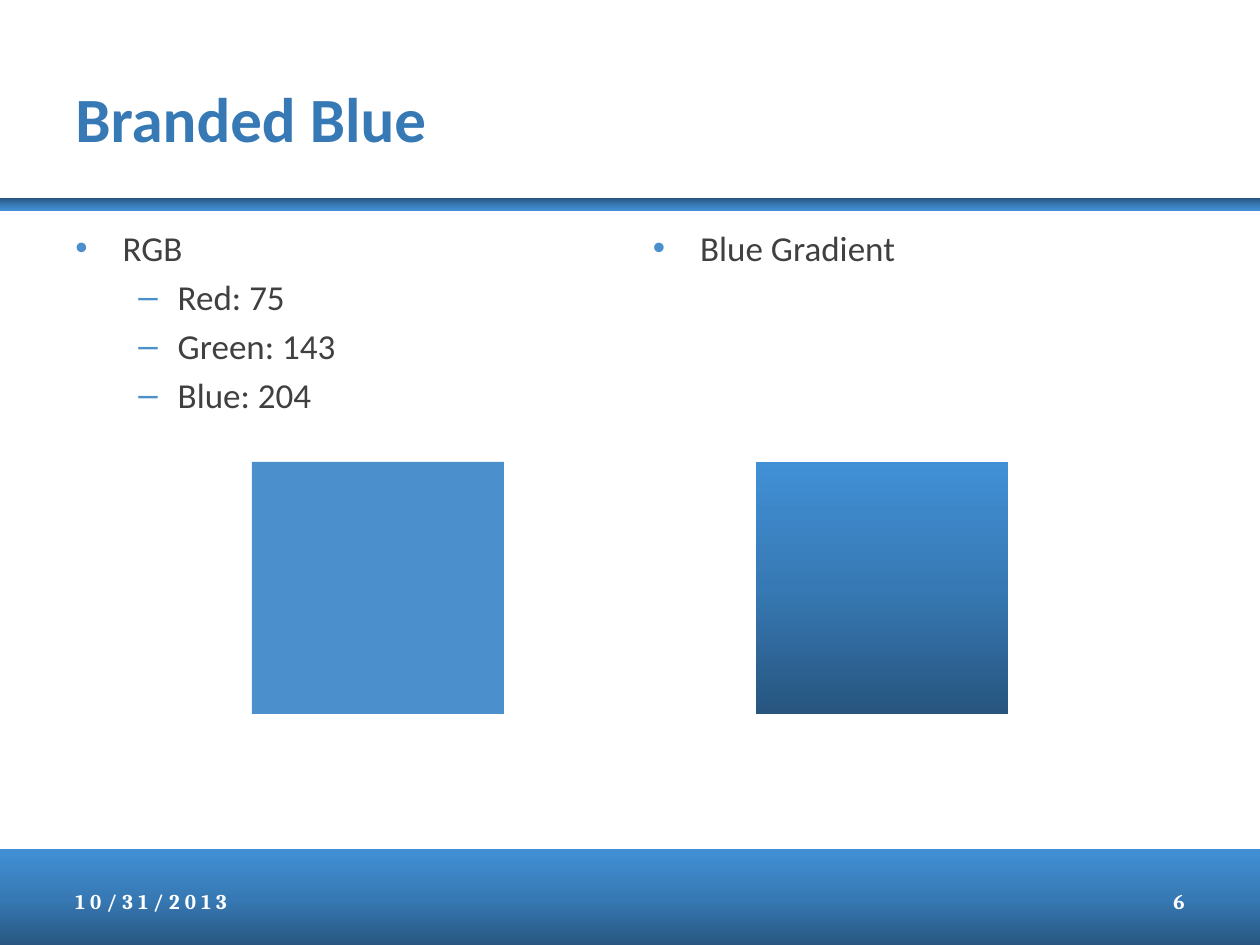
from copy import deepcopy
from dataclasses import dataclass

from lxml import etree
from pptx import Presentation
from pptx.dml.color import RGBColor
from pptx.enum.shapes import MSO_SHAPE
from pptx.enum.text import MSO_ANCHOR, PP_ALIGN
from pptx.oxml.ns import qn
from pptx.util import Pt

RECTANGLE = MSO_SHAPE.RECTANGLE
TOP, MIDDLE = MSO_ANCHOR.TOP, MSO_ANCHOR.MIDDLE
LEFT, RIGHT = PP_ALIGN.LEFT, PP_ALIGN.RIGHT


@dataclass(frozen=True)
class Theme:
    blue: str = "4B8FCC"
    gradient: tuple = ((0, "27557F"), (0.5, "3779B4"), (1, "4190D6"))
    body_color: str = "404040"
    footer_color: str = "FFFFFF"
    body_font: str = "Calibri"
    footer_font: str = "Cambria"
    title_size: int = 36
    body_size: int = 20
    footer_size: int = 12


THEME = Theme()

# Content: each body line is (level, text)
TITLE = "Branded Blue"
COLUMNS = [
    [(0, "RGB"), (1, "Red: 75"), (1, "Green: 143"), (1, "Blue: 204")],
    [(0, "Blue Gradient")],
]
FOOTERS = [("10/31/2013", LEFT), ("6", RIGHT)]
BULLETS = {0: ("•", 27, -27), 1: ("–", 58.5, -22.5)}  # mark, margin, indent

# Layout in points; gradient angles run counter-clockwise
WIDTH, HEIGHT, MARGIN = 720, 540, 36
RIGHT_EDGE = WIDTH - MARGIN
DARK_BELOW, DARK_ABOVE, DIAGONAL = 90, 270, 135
BANDS = [(485.25, 56.25, DARK_BELOW), (113.25, 7.25, DARK_ABOVE)]  # top, height, angle
COLUMN_WIDTH, FOOTER_WIDTH = 318, 168
SWATCH_SIZE, SWATCH_TOP = 144, 264
SWATCHES = [(432, DARK_BELOW), (144, None)]  # left, gradient angle


def apply_gradient(fill, element, angle):
    """Give a fill, held in the XML element, the three-stop blue gradient."""
    fill.gradient()
    fill.gradient_angle = angle
    stop_list = element.find(".//" + qn("a:gsLst"))
    stop_list.append(deepcopy(stop_list[-1]))
    for stop, (position, color) in zip(fill.gradient_stops, THEME.gradient):
        stop.position = position
        stop.color.rgb = RGBColor.from_string(color)


def add_rectangle(slide, left, top, width, height, angle=None):
    """Add a rectangle: plain blue, or a gradient when an angle is given."""
    shape = slide.shapes.add_shape(RECTANGLE, Pt(left), Pt(top), Pt(width), Pt(height))
    shape.shadow.inherit = False
    shape.line.fill.background()
    if angle is None:
        shape.fill.solid()
        shape.fill.fore_color.rgb = RGBColor.from_string(THEME.blue)
    else:
        apply_gradient(shape.fill, shape.element, angle)


def add_bullet(paragraph, level):
    mark, margin, indent = BULLETS[level]
    properties = paragraph._p.get_or_add_pPr()
    properties.set("marL", str(Pt(margin)))
    properties.set("indent", str(Pt(indent)))
    bullet_color = etree.SubElement(properties, qn("a:buClr"))
    etree.SubElement(bullet_color, qn("a:srgbClr"), val=THEME.blue)
    etree.SubElement(properties, qn("a:buFont"), typeface="Arial")
    etree.SubElement(properties, qn("a:buChar"), char=mark)


def add_text(slide, lines, left, top, width, height, *, size, font, color=None,
             gradient_angle=None, bold=False, tracking=0, align=LEFT,
             anchor=MIDDLE, bullets=False):
    box = slide.shapes.add_textbox(Pt(left), Pt(top), Pt(width), Pt(height))
    frame = box.text_frame
    frame.word_wrap = True
    frame.vertical_anchor = anchor
    for index, (level, text) in enumerate(lines):
        paragraph = frame.add_paragraph() if index else frame.paragraphs[0]
        paragraph.alignment = align
        paragraph.level = level
        if bullets:
            paragraph.space_before = Pt(size * 0.2)
            add_bullet(paragraph, level)
        run = paragraph.add_run()
        run.text = text
        run.font.size, run.font.name, run.font.bold = Pt(size), font, bold
        properties = run._r.get_or_add_rPr()
        if tracking:
            properties.set("spc", str(tracking * 100))
        if gradient_angle is None:
            run.font.color.rgb = RGBColor.from_string(color)
        else:
            apply_gradient(run.font.fill, properties, gradient_angle)


def main():
    presentation = Presentation()
    presentation.slide_width, presentation.slide_height = Pt(WIDTH), Pt(HEIGHT)
    slide = presentation.slides.add_slide(presentation.slide_layouts[6])

    for top, height, angle in BANDS:
        add_rectangle(slide, 0, top, WIDTH, height, angle)

    add_text(slide, [(0, TITLE)], MARGIN, 21.75, WIDTH - 2 * MARGIN, 90,
             size=THEME.title_size, font=THEME.body_font,
             gradient_angle=DIAGONAL, bold=True)

    for left, lines in zip((MARGIN, RIGHT_EDGE - COLUMN_WIDTH), COLUMNS):
        add_text(slide, lines, left, 126, COLUMN_WIDTH, 356.25,
                 size=THEME.body_size, font=THEME.body_font,
                 color=THEME.body_color, anchor=TOP, bullets=True)

    for left, (text, align) in zip((MARGIN, RIGHT_EDGE - FOOTER_WIDTH), FOOTERS):
        add_text(slide, [(0, text)], left, 500.5, FOOTER_WIDTH, 28.75,
                 size=THEME.footer_size, font=THEME.footer_font,
                 color=THEME.footer_color, bold=True, tracking=3, align=align)

    for left, angle in SWATCHES:
        add_rectangle(slide, left, SWATCH_TOP, SWATCH_SIZE, SWATCH_SIZE, angle)

    presentation.save("out.pptx")


if __name__ == "__main__":
    main()
